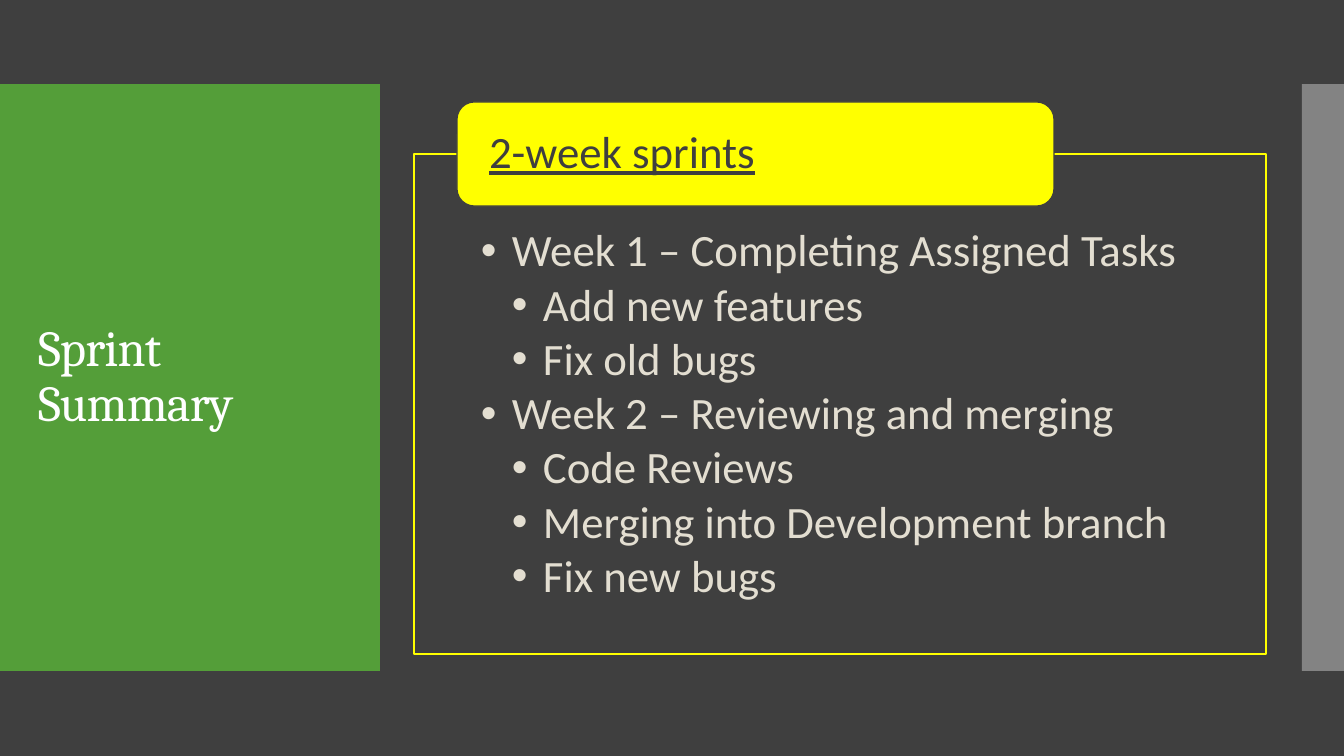
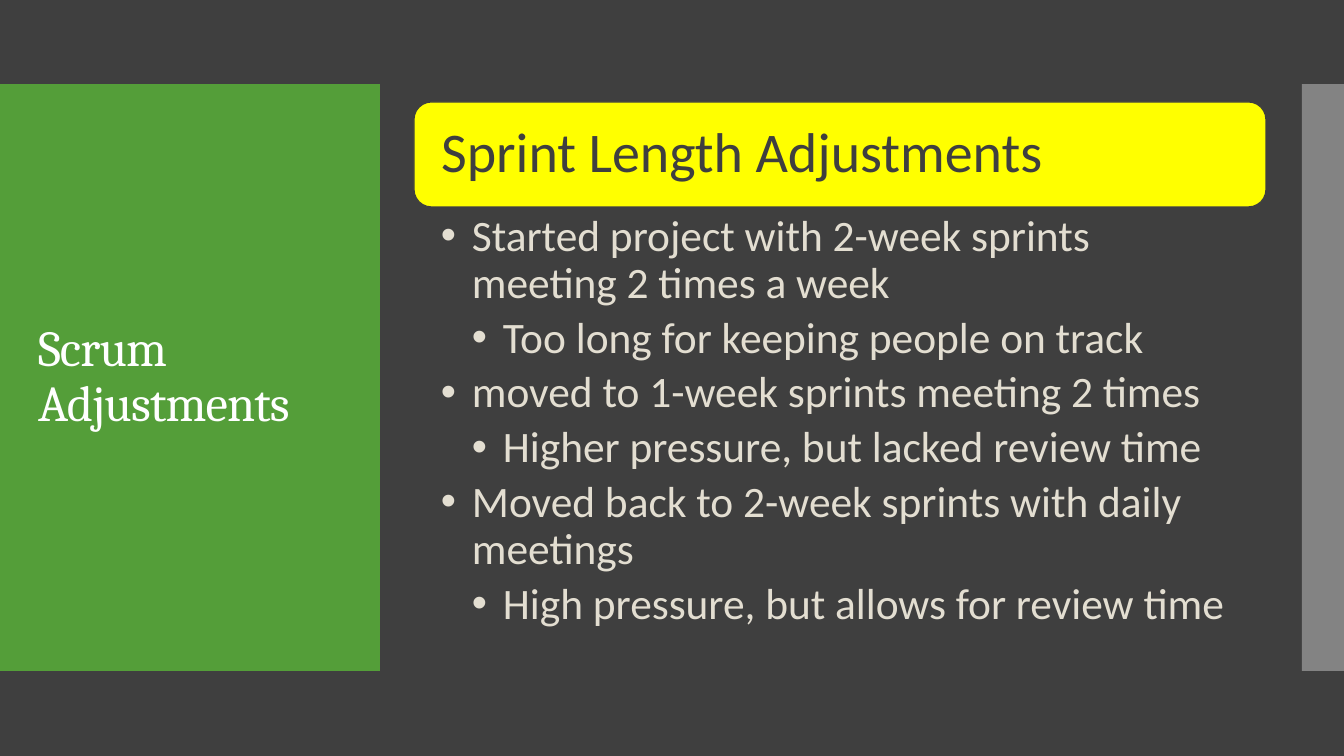
from dataclasses import dataclass

from lxml import etree
from pptx import Presentation
from pptx.dml.color import RGBColor
from pptx.enum.shapes import MSO_SHAPE
from pptx.enum.text import MSO_ANCHOR, MSO_AUTO_SIZE, PP_ALIGN
from pptx.oxml.ns import qn
from pptx.util import Emu, Pt

RECT, ROUND = MSO_SHAPE.RECTANGLE, MSO_SHAPE.ROUNDED_RECTANGLE
TOP, MID = MSO_ANCHOR.TOP, MSO_ANCHOR.MIDDLE
LEFT, FIXED = PP_ALIGN.LEFT, MSO_AUTO_SIZE.NONE

# Palette and fonts
DARK, GREEN, GREY = "3F3F3F", "549E39", "C8C8C8"
YELLOW, CREAM, WHITE = "FFFF00", "E3DED1", "FFFFFF"
HEAD, BODY = "Cambria", "Calibri"

Line = tuple[int, str]  # list level (0 = no bullet) and text


@dataclass(frozen=True)
class Box:
    x: int
    y: int
    w: int
    h: int


@dataclass(frozen=True)
class Page:
    title: str
    label: str
    pill: Box
    pad: int
    size: int
    under: bool
    body: Box
    inset: tuple[int, int, int, int]
    points: int
    gap: float
    framed: bool
    items: list[Line]


WIDE, HIGH = 1344, 756
TITLE = Box(28, 124, 325, 507)
BANDS = [(Box(0, 84, 380, 587), GREEN, 100),
         (Box(1302, 84, 42, 587), GREY, 50)]
STEP = 31  # list indent per level
EDGE = 0.85

PAGES = [
    Page("Sprint Summary", "2-week sprints", Box(457, 102, 597, 104), 27, 32, True,
         Box(414, 154, 852, 500), (67, 74, 67, 25), 32, 4.2, True, [
             (1, "Week 1 – Completing Assigned Tasks"),
             (2, "Add new features"),
             (2, "Fix old bugs"),
             (1, "Week 2 – Reviewing and merging"),
             (2, "Code Reviews"),
             (2, "Merging into Development branch"),
             (2, "Fix new bugs")]),
    Page("Scrum Adjustments", "Sprint Length Adjustments", Box(414, 102, 852, 105),
         22, 40, False, Box(414, 208, 852, 447), (27, 6, 31, 6), 31, 5.6, False, [
             (1, "Started project with 2-week sprints meeting 2 times a week"),
             (2, "Too long for keeping people on track"),
             (1, "moved to 1-week sprints meeting 2 times"),
             (2, "Higher pressure, but lacked review time"),
             (1, "Moved back to 2-week sprints with daily meetings"),
             (2, "High pressure, but allows for review time")]),
]


def px(n: int) -> Emu:
    return Emu(round(n * 914400 / 100.8))


def tint(code: str) -> RGBColor:
    return RGBColor.from_string(code)


def place(shape, box: Box) -> None:
    shape.left, shape.top = px(box.x), px(box.y)
    shape.width, shape.height = px(box.w), px(box.h)


def edge(shape, code: str) -> None:
    shape.line.color.rgb = tint(code)
    shape.line.width = Pt(EDGE)


def block(slide, kind, box: Box, fill: str, line: str = ""):
    shape = slide.shapes.add_shape(kind, px(box.x), px(box.y), px(box.w), px(box.h))
    shape.shadow.inherit = False
    shape.fill.solid()
    shape.fill.fore_color.rgb = tint(fill)
    if line:
        edge(shape, line)
    else:
        shape.line.fill.background()
    return shape


def write(shape, lines: list[Line], *, font: str, size: int, color: str,
          anchor=MID, inset=(10, 5, 10, 5), gap: float = 0,
          under: bool = False, track: int = 0) -> None:
    frame = shape.text_frame
    frame.word_wrap, frame.auto_size = True, FIXED
    frame.vertical_anchor = anchor
    (frame.margin_left, frame.margin_top,
     frame.margin_right, frame.margin_bottom) = map(px, inset)
    for i, (level, text) in enumerate(lines):
        para = frame.add_paragraph() if i else frame.paragraphs[0]
        if level:
            para.level = level - 1
            props = para._p.get_or_add_pPr()
            props.set("marL", str(px(STEP * level)))
            props.set("indent", str(-px(STEP)))
            etree.SubElement(props, qn("a:buChar")).set("char", "•")
        para.alignment, para.line_spacing = LEFT, 0.9
        para.space_before, para.space_after = Pt(0), Pt(gap)
        run = para.add_run()
        run.text = text
        run.font.name, run.font.size = font, Pt(size)
        run.font.color.rgb = tint(color)
        if under:
            run.font.underline = True
        if track:
            run._r.get_or_add_rPr().set("spc", str(track))


def dress(layout, slide) -> None:
    """Give the layout its background, side bands and title place."""
    back = layout.background.fill
    back.solid()
    back.fore_color.rgb = tint(DARK)
    place(layout.placeholders[0], TITLE)
    tree = layout.shapes.element
    for i, (box, fill, alpha) in enumerate(BANDS):
        band = block(slide, RECT, box, fill)
        if alpha < 100:
            code = band.element.find(".//" + qn("a:srgbClr"))
            etree.SubElement(code, qn("a:alpha")).set("val", str(alpha * 1000))
        band.element.find(".//" + qn("p:cNvPr")).set("id", str(50 + i))
        tree.insert(2 + i, band.element)


def build(slide, page: Page) -> None:
    # Title
    write(slide.shapes.title, [(0, page.title)], font=HEAD, size=36,
          color=WHITE, track=-60)
    # List
    body = slide.placeholders[1]
    place(body, page.body)
    if page.framed:
        edge(body, YELLOW)
    write(body, page.items, font=BODY, size=page.points, color=CREAM,
          anchor=TOP, inset=page.inset, gap=page.gap)
    # Heading pill
    pill = block(slide, ROUND, page.pill, YELLOW, DARK)
    write(pill, [(0, page.label)], font=BODY, size=page.size, color=DARK,
          inset=(page.pad, 5, page.pad, 5), under=page.under)


def main() -> None:
    deck = Presentation()
    deck.slide_width, deck.slide_height = px(WIDE), px(HIGH)
    layout = deck.slide_layouts[1]
    slides = [deck.slides.add_slide(layout) for _ in PAGES]
    dress(layout, slides[0])
    for slide, page in zip(slides, PAGES):
        build(slide, page)
    deck.save("out.pptx")


if __name__ == "__main__":
    main()
